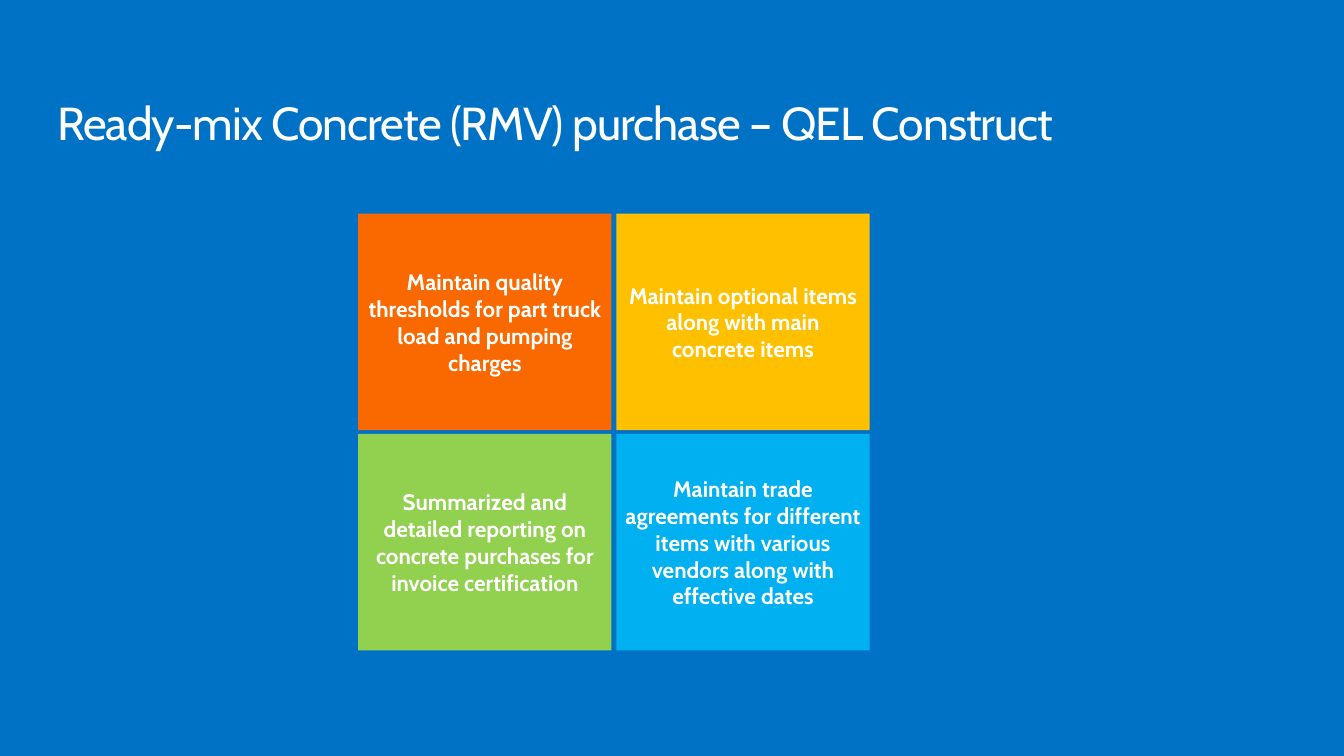
from pptx import Presentation
from pptx.dml.color import RGBColor
from pptx.enum.shapes import MSO_SHAPE as SHAPE
from pptx.enum.text import MSO_ANCHOR as ANCHOR, MSO_AUTO_SIZE as FIT, PP_ALIGN as ALIGN
from pptx.util import Pt

BLUE = RGBColor(0x00, 0x72, 0xC6)
ORANGE = RGBColor(0xFA, 0x68, 0x00)
AMBER = RGBColor(0xFF, 0xC0, 0x00)
GREEN = RGBColor(0x92, 0xD0, 0x50)
SKY = RGBColor(0x00, 0xB0, 0xF0)
WHITE = RGBColor(0xFF, 0xFF, 0xFF)

TILES = [
    ("Maintain quality thresholds for part truck load and pumping charges", ORANGE),
    ("Maintain optional items along with main concrete items", AMBER),
    ("Summarized and detailed reporting on concrete purchases for invoice certification", GREEN),
    ("Maintain trade agreements for different items with various vendors along with "
     "effective dates", SKY),
]
COLUMNS = 2
GRID_LEFT, GRID_TOP = 383.8, 229
TILE_W, TILE_H = 271.4, 231.8
PITCH_X, PITCH_Y = 276.5, 236


class Deck:
    font = "Cabin"

    def __init__(self, width, height):
        self.prs = Presentation()
        self.prs.slide_width, self.prs.slide_height = Pt(width), Pt(height)
        self.s = self.prs.slides.add_slide(self.prs.slide_layouts[6])
        fill = self.s.background.fill
        fill.solid()
        fill.fore_color.rgb = BLUE

    def set_text(self, tf, text, size, bold=False):
        tf.word_wrap = True
        p = tf.paragraphs[0]
        r = p.add_run()
        r.text = text
        p.font.name, p.font.size, p.font.bold = self.font, Pt(size), bold
        p.font.color.rgb = WHITE
        return p, r

    def title(self, text, left, top, width, height):
        tf = self.s.shapes.add_textbox(Pt(left), Pt(top), Pt(width), Pt(height)).text_frame
        tf.margin_left = tf.margin_top = tf.margin_right = tf.margin_bottom = 0
        tf.auto_size = FIT.SHAPE_TO_FIT_TEXT
        p, r = self.set_text(tf, text, 49.5)
        p.line_spacing = 0.9
        r._r.get_or_add_rPr().set("spc", "-100")  # letter spacing of -1 pt

    def tile(self, text, color, left, top):
        sp = self.s.shapes.add_shape(SHAPE.RECTANGLE, Pt(left), Pt(top), Pt(TILE_W), Pt(TILE_H))
        sp.shadow.inherit = False
        sp.fill.solid()
        sp.fill.fore_color.rgb = color
        sp.line.fill.background()
        sp.text_frame.vertical_anchor = ANCHOR.MIDDLE
        p, _ = self.set_text(sp.text_frame, text, 24, bold=True)
        p.alignment = ALIGN.CENTER


def main():
    deck = Deck(1440, 810)
    deck.title("Ready-mix Concrete (RMV) purchase – QEL Construct", 61.2, 108, 1317, 54)
    for i, (text, color) in enumerate(TILES):
        row, col = divmod(i, COLUMNS)
        deck.tile(text, color, GRID_LEFT + col * PITCH_X, GRID_TOP + row * PITCH_Y)
    deck.prs.save("out.pptx")


if __name__ == "__main__":
    main()
